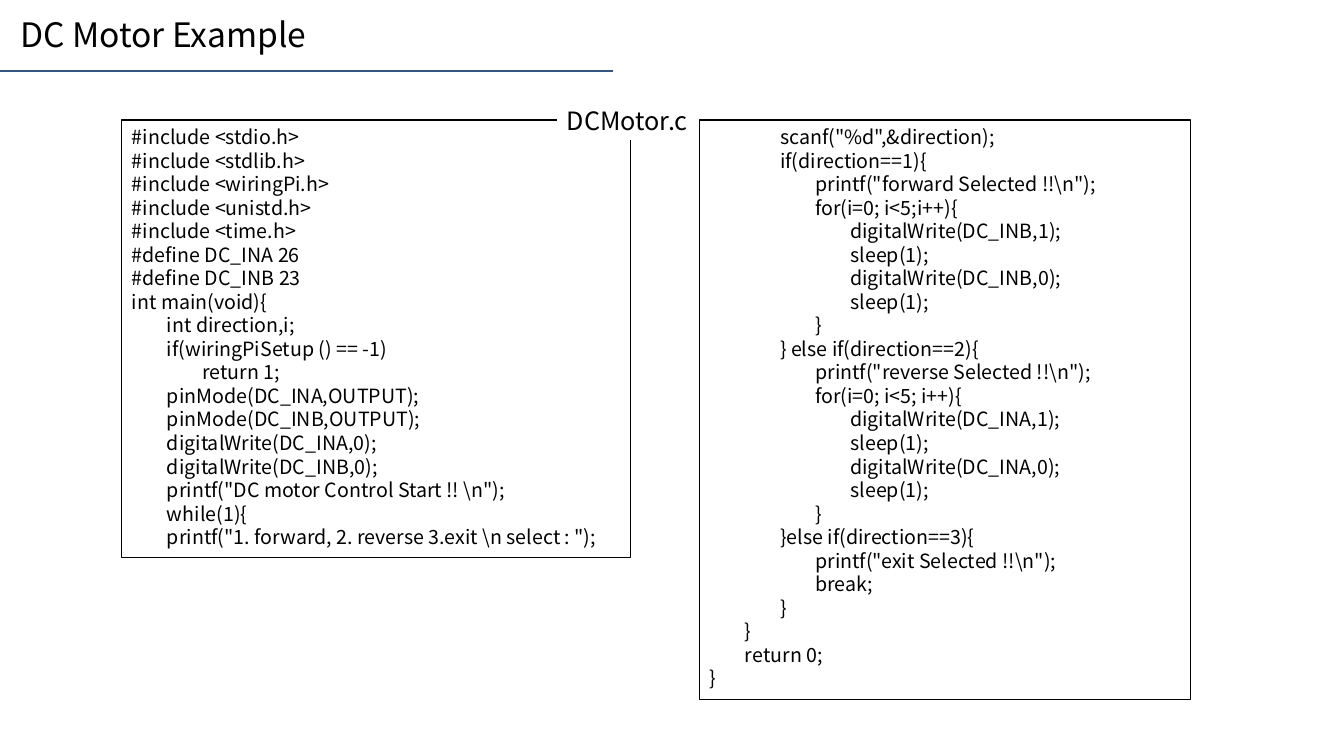
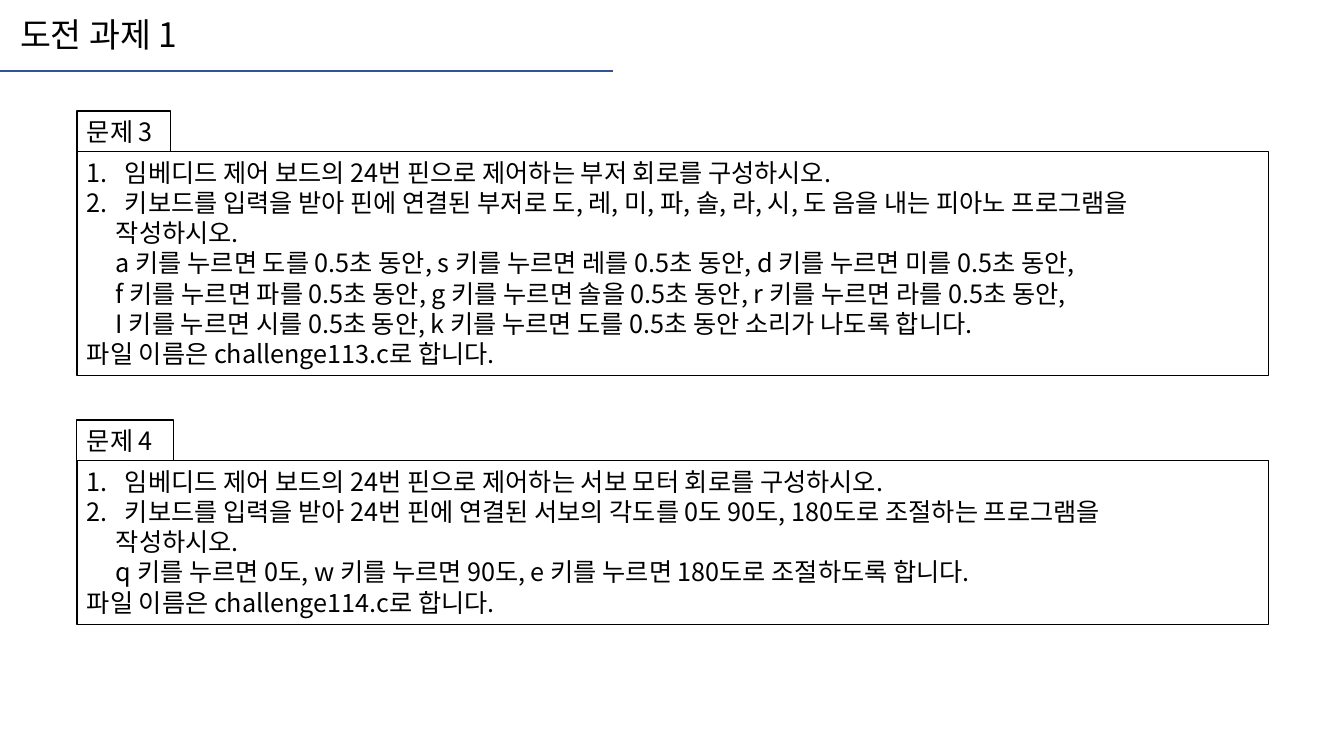
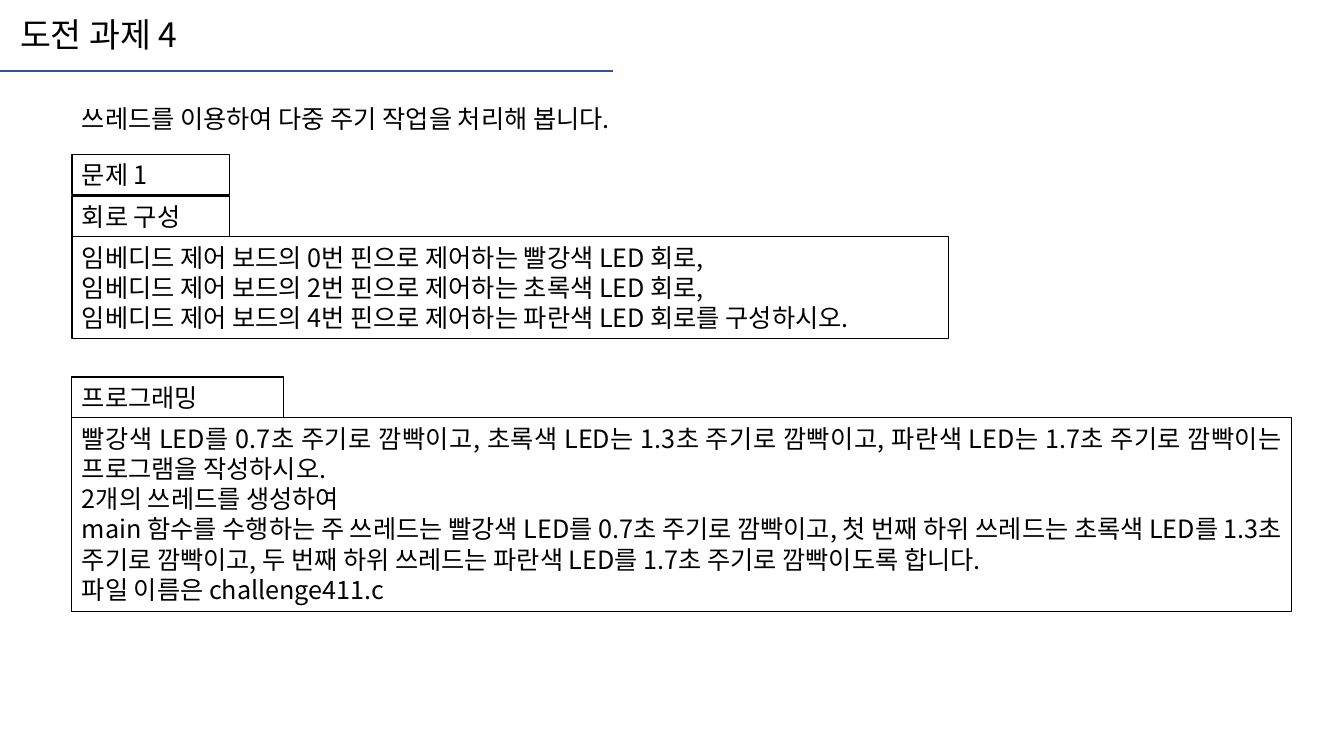
from pptx import Presentation
from pptx import util as u
from pptx.dml.color import RGBColor
from pptx.enum import shapes, text
from pptx.oxml.ns import qn
from lxml import etree

BLACK = RGBColor(0x00, 0x00, 0x00)
WHITE = RGBColor(0xFF, 0xFF, 0xFF)
NAVY = RGBColor(0x2F, 0x55, 0x97)
FONT = "Noto Sans CJK KR"
PX_PER_INCH = 100.8
NUMBER_INDENT = 38
CONTINUED_INDENT = 29
LABEL_HEIGHT = 41

CODE_SETUP = r"""#include <stdio.h>
#include <stdlib.h>
#include <wiringPi.h>
#include <unistd.h>
#include <time.h>
#define DC_INA 26
#define DC_INB 23
int main(void){
        int direction,i;
        if(wiringPiSetup () == -1)
                return 1;
        pinMode(DC_INA,OUTPUT);
        pinMode(DC_INB,OUTPUT);
        digitalWrite(DC_INA,0);
        digitalWrite(DC_INB,0);
        printf("DC motor Control Start !! \n");
        while(1){
        printf("1. forward, 2. reverse 3.exit \n select : ");"""

CODE_FORWARD = r"""                scanf("%d",&direction);
                if(direction==1){
                        printf("forward Selected !!\n");
                        for(i=0; i<5;i++){
                                digitalWrite(DC_INB,1);
                                sleep(1);
                                digitalWrite(DC_INB,0);
                                sleep(1);
                        }"""

CODE_REVERSE = r"""                } else if(direction==2){
                        printf("reverse Selected !!\n");
                        for(i=0; i<5; i++){
                                digitalWrite(DC_INA,1);
                                sleep(1);
                                digitalWrite(DC_INA,0);
                                sleep(1);
                        }"""

CODE_EXIT = r"""                }else if(direction==3){
                        printf("exit Selected !!\n");
                        break;
                }
        }
        return 0;
}"""

BUZZER_TASK = dict(
    numbered=[
        "임베디드 제어 보드의 24번 핀으로 제어하는 부저 회로를 구성하시오.",
        "키보드를 입력을 받아 핀에 연결된 부저로 도, 레, 미, 파, 솔, 라, 시, 도 음을 내는 피아노 프로그램을",
    ],
    continued=[
        "작성하시오.",
        "a 키를 누르면 도를 0.5초 동안, s 키를 누르면 레를 0.5초 동안, d 키를 누르면 미를 0.5초 동안,",
        "f 키를 누르면 파를 0.5초 동안, g 키를 누르면 솔을 0.5초 동안, r 키를 누르면 라를 0.5초 동안,",
        "I 키를 누르면 시를 0.5초 동안, k 키를 누르면 도를 0.5초 동안 소리가 나도록 합니다.",
    ],
    plain=["파일 이름은 challenge113.c로 합니다."],
)
SERVO_TASK = dict(
    numbered=[
        "임베디드 제어 보드의 24번 핀으로 제어하는 서보 모터 회로를 구성하시오.",
        "키보드를 입력을 받아 24번 핀에 연결된 서보의 각도를 0도 90도, 180도로 조절하는 프로그램을",
    ],
    continued=[
        "작성하시오.",
        "q 키를 누르면 0도, w 키를 누르면 90도, e 키를 누르면 180도로 조절하도록 합니다.",
    ],
    plain=["파일 이름은 challenge114.c로 합니다."],
)
CIRCUIT_TASK = dict(plain=[
    "임베디드 제어 보드의 0번 핀으로 제어하는 빨강색 LED 회로,",
    "임베디드 제어 보드의 2번 핀으로 제어하는 초록색 LED 회로,",
    "임베디드 제어 보드의 4번 핀으로 제어하는 파란색 LED 회로를 구성하시오.",
])
THREAD_TASK = dict(plain=[
    "빨강색 LED를 0.7초 주기로 깜빡이고, 초록색 LED는 1.3초 주기로 깜빡이고, "
    "파란색 LED는 1.7초 주기로 깜빡이는 프로그램을 작성하시오.",
    "2개의 쓰레드를 생성하여",
    "main 함수를 수행하는 주 쓰레드는 빨강색 LED를 0.7초 주기로 깜빡이고, "
    "첫 번째 하위 쓰레드는 초록색 LED를 1.3초 주기로 깜빡이고, "
    "두 번째 하위 쓰레드는 파란색 LED를 1.7초 주기로 깜빡이도록 합니다.",
    "파일 이름은 challenge411.c",
])


def px(length):
    return u.Emu(round(length * 914400 / PX_PER_INCH))


def write(para, words, size=18, align=text.PP_ALIGN.LEFT, left=0, number=False):
    para.alignment = align
    para.line_spacing = u.Pt(round(size * 1.2, 1))
    para.space_before = para.space_after = u.Pt(0)
    properties = para._p.get_or_add_pPr()
    properties.set("marL", str(px(left)))
    properties.set("indent", str(px(-left if number else 0)))
    if number:
        etree.SubElement(properties, qn("a:buFont"), typeface="+mj-lt")
        etree.SubElement(properties, qn("a:buAutoNum"), type="arabicPeriod")
    span = para.add_run()
    span.text = words
    span.font.size = u.Pt(size)
    span.font.color.rgb = BLACK
    span.font.name = FONT
    etree.SubElement(span._r.get_or_add_rPr(), qn("a:ea"), typeface=FONT)


class Lecture:
    def __init__(self):
        self.deck = Presentation()
        self.deck.slide_width = px(1344)
        self.deck.slide_height = px(756)
        self.slide = None

    def new_slide(self, title):
        self.slide = self.deck.slides.add_slide(self.deck.slide_layouts[5])
        rule = self.slide.shapes.add_connector(
            shapes.MSO_CONNECTOR.STRAIGHT, 0, px(71), px(613), px(71))
        rule.line.color.rgb = NAVY
        rule.line.width = u.Pt(2)
        etree.SubElement(rule._element.spPr, qn("a:effectLst"))
        box = self.slide.shapes.title
        box.left, box.top, box.width, box.height = map(px, (10, 9, 600, 50))
        self.fill_text(box, [(title, dict(size=24))])

    def fill_text(self, box, lines):
        frame = box.text_frame
        frame.word_wrap = True
        frame.auto_size = text.MSO_AUTO_SIZE.NONE
        frame.vertical_anchor = text.MSO_ANCHOR.TOP
        for index, (words, style) in enumerate(lines):
            para = frame.add_paragraph() if index else frame.paragraphs[0]
            write(para, words, **style)

    def caption(self, words, left, top, width, height):
        box = self.slide.shapes.add_textbox(*map(px, (left, top, width, height)))
        self.fill_text(box, [(words, {})])

    def panel(self, lines, left, top, width, height, fill=None, outline=BLACK):
        box = self.slide.shapes.add_shape(
            shapes.MSO_SHAPE.RECTANGLE, *map(px, (left, top, width, height)))
        box.shadow.inherit = False
        if fill is None:
            box.fill.background()
        else:
            box.fill.solid()
            box.fill.fore_color.rgb = fill
        if outline is None:
            box.line.fill.background()
        else:
            box.line.color.rgb = outline
            box.line.width = u.Pt(0.75)
        self.fill_text(box, lines)

    def code(self, parts, left, top, width, height):
        lines = [(line, dict(size=14)) for part in parts for line in part.split("\n")]
        self.panel(lines, left, top, width, height)

    def label(self, words, left, top, width):
        self.panel([(words, {})], left, top, width, LABEL_HEIGHT)

    def task(self, name, name_width, left, top, width, height,
             numbered=(), continued=(), plain=(), align=text.PP_ALIGN.LEFT):
        self.label(name, left, top, name_width)
        lines = [(words, dict(left=NUMBER_INDENT, number=True)) for words in numbered]
        lines += [(words, dict(left=CONTINUED_INDENT)) for words in continued]
        lines += [(words, dict(align=align)) for words in plain]
        self.panel(lines, left, top + LABEL_HEIGHT, width, height)


def main():
    lecture = Lecture()

    lecture.new_slide("DC Motor Example")
    lecture.code([CODE_SETUP], 122, 120, 509, 438)
    lecture.code([CODE_FORWARD, CODE_REVERSE, CODE_EXIT], 700, 120, 491, 580)
    lecture.panel([("DCMotor.c", {})], 557, 100, 141, 40, fill=WHITE, outline=None)

    lecture.new_slide("도전 과제 1")
    lecture.task("문제 3", 94, 77, 111, 1192, 224, **BUZZER_TASK)
    lecture.task("문제 4", 97, 77, 420, 1192, 164, **SERVO_TASK)

    lecture.new_slide("도전 과제 4")
    lecture.caption("쓰레드를 이용하여 다중 주기 작업을 처리해 봅니다.", 72, 98, 1198, 40)
    lecture.label("문제 1", 72, 154, 158)
    lecture.task("회로 구성", 158, 72, 196, 877, 102, **CIRCUIT_TASK)
    lecture.task("프로그래밍", 212, 72, 377, 1220, 194,
                 align=text.PP_ALIGN.JUSTIFY, **THREAD_TASK)

    lecture.deck.save("out.pptx")


if __name__ == "__main__":
    main()
